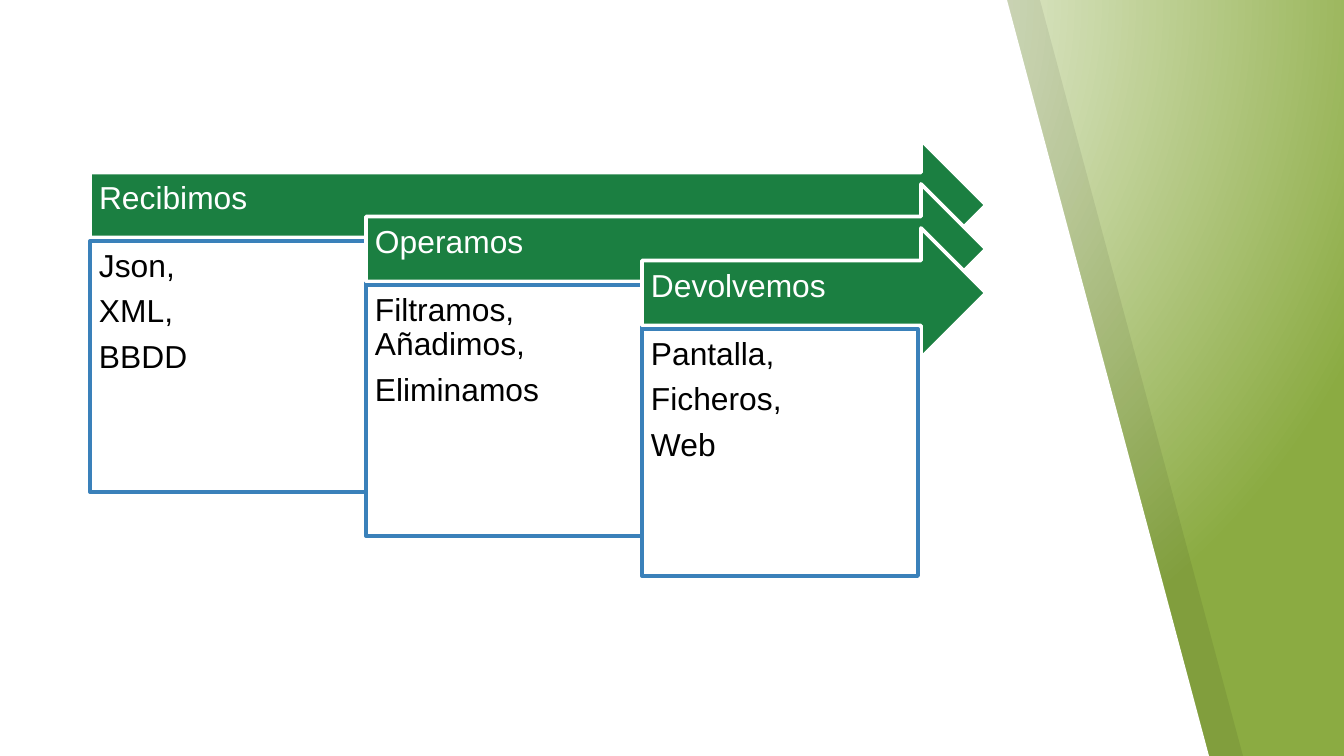
from lxml.etree import SubElement
from pptx import Presentation
from pptx.dml.color import RGBColor
from pptx.enum.shapes import MSO_SHAPE
from pptx.enum.text import MSO_ANCHOR, PP_ALIGN
from pptx.oxml import parse_xml
from pptx.oxml.ns import nsdecls, qn
from pptx.util import Pt

STEPS = [
    ("Recibimos", ["Json,", "XML,", "BBDD"]),
    ("Operamos", ["Filtramos, Añadimos,", "Eliminamos"]),
    ("Devolvemos", ["Pantalla,", "Ficheros,", "Web"]),
]
COLORS = {
    "white": "FFFFFF",
    "black": "000000",
    "arrow": "1B7F41",
    "border": "3A81BA",
    "backdrop": "8BAB42",
}
PX = 914400 / 134.4
SLIDE_W, SLIDE_H = 1344, 756
LEFT, ARROW_TOP, BOX_TOP = 90, 140, 241
COLUMN_STEP, ROW_STEP = 276, 44
ARROW_RIGHT, ARROW_H = 986, 130
BOX_HEIGHTS = [251, 251, 247]
# Width of each panel at the top and bottom of the slide, colour, opacity in percent
PANELS = [(1040, 1243, "black", 7), (1007, 1209, "white", 100)]


def emu(pixels):
    return round(pixels * PX)


def color(name):
    return RGBColor.from_string(COLORS[name])


def set_background(slide):
    """Radial gradient centred above the slide."""
    slide.background.fill.solid()
    properties = slide.element.find(".//" + qn("p:bgPr"))
    stops = "".join(
        f'<a:gs pos="{position * 1000}"><a:srgbClr val="{COLORS[name]}"/></a:gs>'
        for position, name in [(0, "white"), (16, "white"), (100, "backdrop")]
    )
    gradient = parse_xml(
        f'<a:gradFill {nsdecls("a")} rotWithShape="1"><a:gsLst>{stops}</a:gsLst>'
        '<a:path path="circle">'
        '<a:fillToRect l="50000" t="-80000" r="50000" b="180000"/>'
        "</a:path></a:gradFill>"
    )
    properties.replace(properties.find(qn("a:solidFill")), gradient)


def add_panel(slide, top_width, bottom_width, fill, opacity):
    builder = slide.shapes.build_freeform(0, 0, scale=PX)
    builder.add_line_segments(
        [(0, SLIDE_H), (bottom_width, SLIDE_H), (top_width, 0)], close=True
    )
    panel = builder.convert_to_shape()
    panel.shadow.inherit = False
    panel.fill.solid()
    panel.fill.fore_color.rgb = color(fill)
    panel.line.fill.background()
    if opacity < 100:
        fill_color = panel.element.spPr.find(".//" + qn("a:srgbClr"))
        SubElement(fill_color, qn("a:alpha"), val=str(opacity * 1000))


def add_block(slide, preset, left, top, width, height, fill, line):
    shape = slide.shapes.add_shape(preset, *map(emu, (left, top, width, height)))
    shape.shadow.inherit = False
    shape.fill.solid()
    shape.fill.fore_color.rgb = color(fill)
    shape.line.color.rgb = color(line)
    shape.line.width = Pt(2)
    return shape


def write(shape, lines, font_color, anchor=MSO_ANCHOR.TOP, right=9, bottom=9):
    frame = shape.text_frame
    frame.word_wrap = True
    frame.vertical_anchor = anchor
    frame.margin_left = frame.margin_top = emu(9)
    frame.margin_right, frame.margin_bottom = emu(right), emu(bottom)
    frame.text = "\n".join(lines)
    for paragraph in frame.paragraphs:
        paragraph.alignment = PP_ALIGN.LEFT
        paragraph.line_spacing = 0.9
        paragraph.space_after = Pt(6)
        font = paragraph.runs[0].font
        font.name, font.size = "Arial", Pt(17)
        font.color.rgb = color(font_color)


def main():
    presentation = Presentation()
    presentation.slide_width, presentation.slide_height = emu(SLIDE_W), emu(SLIDE_H)
    slide = presentation.slides.add_slide(presentation.slide_layouts[6])
    set_background(slide)
    for panel in PANELS:
        add_panel(slide, *panel)

    for index, ((heading, details), box_height) in enumerate(zip(STEPS, BOX_HEIGHTS)):
        left = LEFT + index * COLUMN_STEP
        drop = index * ROW_STEP
        arrow = add_block(slide, MSO_SHAPE.RIGHT_ARROW, left, ARROW_TOP + drop,
                          ARROW_RIGHT - left, ARROW_H, "arrow", "white")
        write(arrow, [heading], "white", anchor=MSO_ANCHOR.MIDDLE, right=38, bottom=20)
        box = add_block(slide, MSO_SHAPE.RECTANGLE, left, BOX_TOP + drop,
                        COLUMN_STEP, box_height, "white", "border")
        write(box, details, "black")

    presentation.save("out.pptx")


if __name__ == "__main__":
    main()
